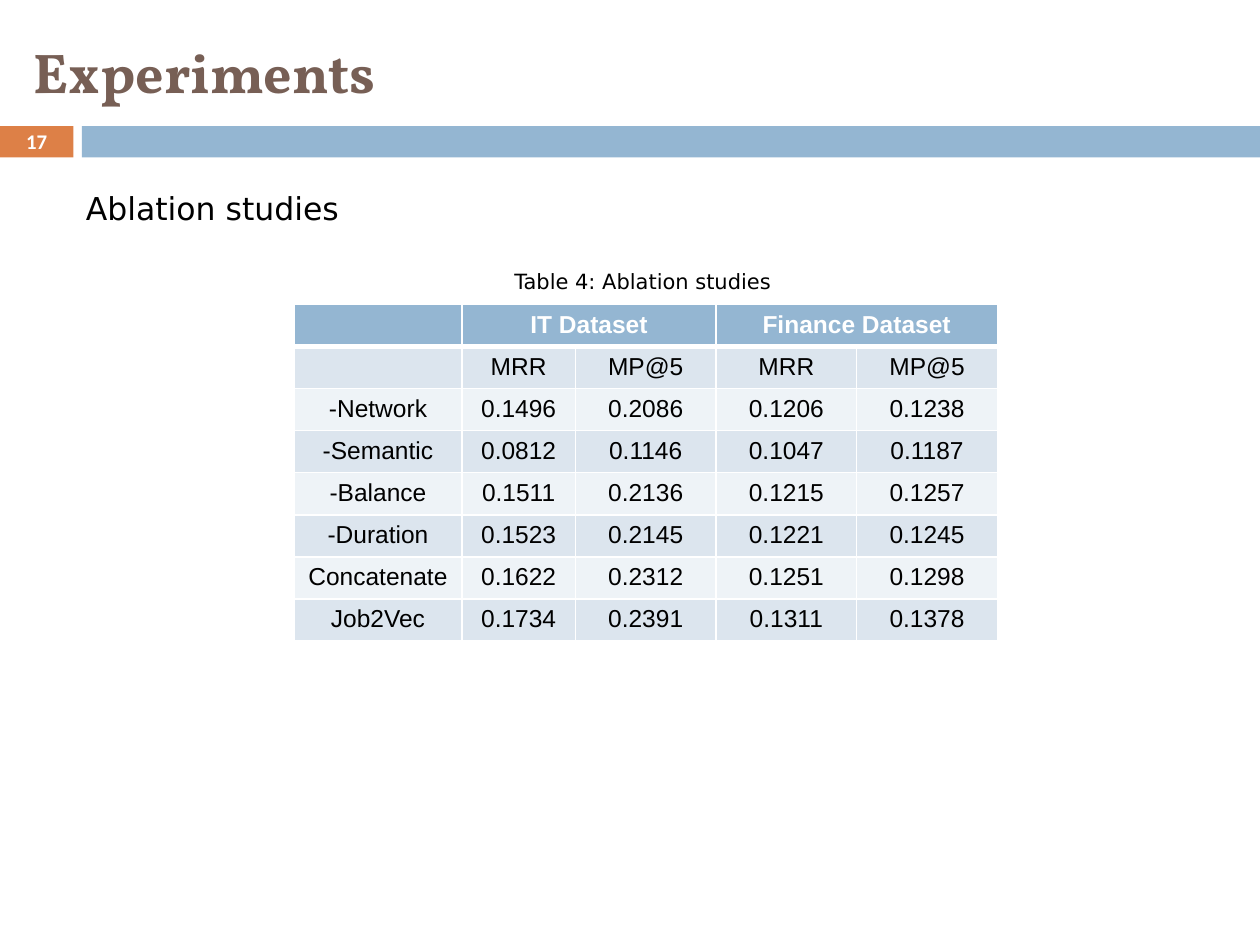
"""Builds the slide on ablation studies, with a results table for two datasets."""
from lxml.etree import SubElement
from pptx import Presentation
from pptx.dml.color import RGBColor
from pptx.enum.shapes import MSO_SHAPE as Shape
from pptx.enum.text import MSO_ANCHOR as Anchor, PP_ALIGN as Align
from pptx.oxml.ns import qn
from pptx.util import Inches, Pt

ORANGE = RGBColor(0xDD, 0x80, 0x47)
BLUE = RGBColor(0x94, 0xB6, 0xD2)
BROWN = RGBColor(0x77, 0x5F, 0x55)
DARK_BAND = RGBColor(0xDC, 0xE5, 0xEE)
LIGHT_BAND = RGBColor(0xEE, 0xF3, 0xF7)
WHITE = RGBColor(0xFF, 0xFF, 0xFF)
BLACK = RGBColor(0, 0, 0)

deck = Presentation()
deck.slide_width, deck.slide_height = Inches(10), Inches(7.5)
page = deck.slides.add_slide(deck.slide_layouts[6])
UNIT = deck.slide_width / 120


def grid(*counts):
    return [round(count * UNIT) for count in counts]


def write(frame, text, *, size, font, color=BLACK, bold=False, align=Align.LEFT,
          anchor=Anchor.TOP, wrap=True, spacing=None):
    frame.word_wrap = wrap
    frame.vertical_anchor = anchor
    para = frame.paragraphs[0]
    para.alignment = align
    para.line_spacing = spacing
    if not text:
        SubElement(para._p, qn("a:endParaRPr"), sz=str(size * 100))
        return
    span = para.add_run()
    span.text = text
    span.font.name, span.font.size = font, Pt(size)
    span.font.bold, span.font.color.rgb = bold, color


for left, width, color in [(0, 7, ORANGE), (7.8, 112.2, BLUE)]:
    bar = page.shapes.add_shape(Shape.RECTANGLE, *grid(left, 12, width, 3))
    bar.shadow.inherit = False
    bar.fill.solid()
    bar.fill.fore_color.rgb = color
    bar.line.fill.background()

labels = [
    ("17", (0, 11.8, 7, 3.2), dict(size=11.9, font="Calibri", color=WHITE, bold=True,
                                   align=Align.CENTER, anchor=Anchor.MIDDLE)),
    ("Experiments", (2, 3.2, 93, 8), dict(size=32, font="Vollkorn", color=BROWN, bold=True,
                                          anchor=Anchor.MIDDLE, spacing=0.9)),
    ("Ablation studies", (7, 17.4, 26.6, 4.8), dict(size=18, font="DejaVu Sans", wrap=False)),
    ("Table 4: Ablation studies", (47.8, 25, 27.5, 3.6),
     dict(size=12, font="DejaVu Sans", wrap=False)),
]
for text, place, style in labels:
    box = page.shapes.add_textbox(*grid(*place))
    write(box.text_frame, text, **style)

results = [
    ("", "IT Dataset", "", "Finance Dataset", ""),
    ("", "MRR", "MP@5", "MRR", "MP@5"),
    ("-Network", "0.1496", "0.2086", "0.1206", "0.1238"),
    ("-Semantic", "0.0812", "0.1146", "0.1047", "0.1187"),
    ("-Balance", "0.1511", "0.2136", "0.1215", "0.1257"),
    ("-Duration", "0.1523", "0.2145", "0.1221", "0.1245"),
    ("Concatenate", "0.1622", "0.2312", "0.1251", "0.1298"),
    ("Job2Vec", "0.1734", "0.2391", "0.1311", "0.1378"),
]
table = page.shapes.add_table(len(results), 5, *grid(28, 29, 67, 32)).table
table.first_row = table.horz_banding = False
for column, width in zip(table.columns, grid(16, 10.8, 13.4, 13.4, 13.4)):
    column.width = width
for row in table.rows:
    row.height = grid(4)[0]

for row_index, values in enumerate(results):
    header = row_index == 0
    band = BLUE if header else DARK_BAND if row_index % 2 else LIGHT_BAND
    thick_side = {0: "B", 1: "T"}.get(row_index)
    for column_index, value in enumerate(values):
        cell = table.cell(row_index, column_index)
        write(cell.text_frame, value, size=14, font="Arial", align=Align.CENTER,
              color=WHITE if header else BLACK, bold=header)
        properties = cell._tc.get_or_add_tcPr()
        for side in "LRTB":
            weight = Pt(3 if side == thick_side else 1)
            border = SubElement(properties, qn(f"a:ln{side}"), w=str(weight))
            SubElement(SubElement(border, qn("a:solidFill")), qn("a:srgbClr"), val=str(WHITE))
        cell.fill.solid()
        cell.fill.fore_color.rgb = band

for first in (1, 3):
    table.cell(0, first).merge(table.cell(0, first + 1))

deck.save("out.pptx")
